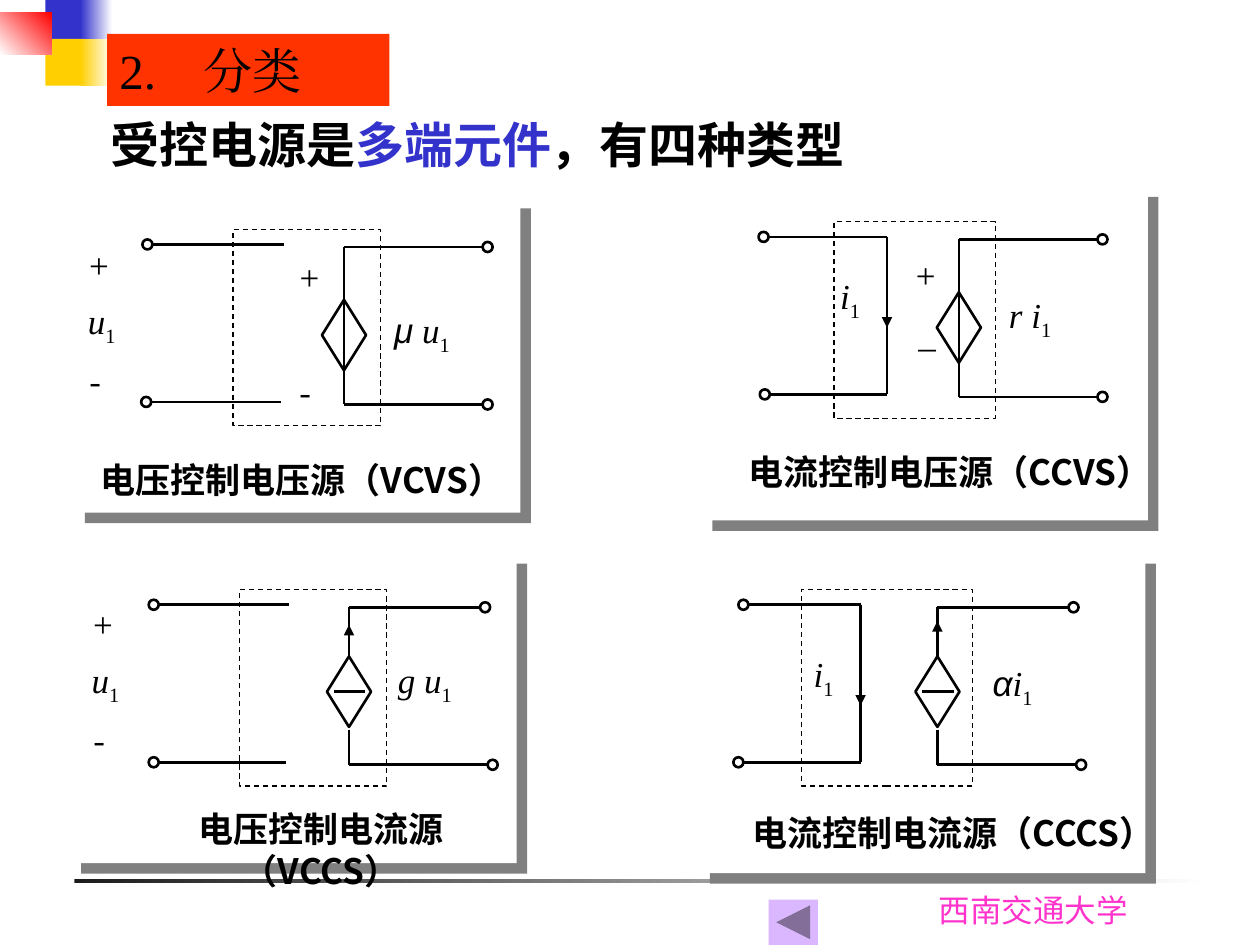
from dataclasses import dataclass
from lxml.etree import SubElement as Sub
from pptx import Presentation
from pptx.dml.color import RGBColor as RGB
from pptx.enum.dml import MSO_LINE as Dash
from pptx.enum.shapes import MSO_CONNECTOR as Conn, MSO_SHAPE as Form
from pptx.enum.text import MSO_ANCHOR as Anchor, PP_ALIGN as Align
from pptx.oxml.ns import qn
from pptx.util import Inches, Pt


@dataclass
class Theme:
    black: str = "000000"
    white: str = "FFFFFF"
    gray: str = "808080"
    dark: str = "1C1C1C"
    blue: str = "3333CC"
    gold: str = "FFCF01"
    red: str = "FF0000"
    fire: str = "FF3300"
    pink: str = "FF33CC"
    lilac: str = "DBB7FF"
    serif: str = "Times New Roman"
    sans: str = "Arial"
    han: str = "Noto Sans CJK SC"
    foot: str = "Karla"
    big: int = 28
    mid: int = 20
    small: int = 18
    thin: float = 0.75
    wide: float = 1.5

    def style(self, kind):
        return {
            "head": (self.serif, self.big, self.black, False, False),
            "lead": (self.han, self.big, self.black, True, False),
            "key": (self.han, self.big, self.blue, True, False),
            "name": (self.han, self.mid, self.black, True, False),
            "var": (self.serif, self.mid, self.black, False, True),
            "greek": (self.sans, self.mid, self.black, False, True),
            "sub": (self.serif, self.mid, self.black, False, False),
            "sign": (self.serif, self.mid, self.black, False, False),
            "minus": (self.han, self.mid, self.black, False, False),
            "foot": (self.foot, self.small, self.pink, False, False),
        }[kind]


class Pen:
    def __init__(self, slide, theme):
        self.slide = slide
        self.look = theme

    def shape(self, form, x, y, w, h, fill=None, line=None):
        item = self.slide.shapes.add_shape(form, Inches(x), Inches(y), Inches(w), Inches(h))
        item.shadow.inherit = False
        if fill:
            item.fill.solid()
            item.fill.fore_color.rgb = RGB.from_string(fill)
        else:
            item.fill.background()
        if line:
            item.line.color.rgb = RGB.from_string(self.look.black)
            item.line.width = Pt(line)
        else:
            item.line.fill.background()
        return item

    def fade(self, x, y, w, h, start, end, angle=0):
        fill = self.shape(Form.RECTANGLE, x, y, w, h).fill
        fill.gradient()
        fill.gradient_angle = angle
        for stop, tint, pos in zip(fill.gradient_stops, (start, end), (0, 1)):
            stop.color.rgb = RGB.from_string(tint)
            stop.position = pos

    def panel(self, x, y, w, h):
        item = self.shape(Form.RECTANGLE, x, y, w, h, self.look.white)
        group = item._element.spPr.find(qn("a:effectLst"))
        cast = Sub(group, qn("a:outerShdw"), dist=str(Pt(8.5)), dir="2700000",
                   algn="ctr", rotWithShape="0")
        Sub(cast, qn("a:srgbClr"), val=self.look.gray)

    def wire(self, x1, y1, x2, y2, arrow=False):
        item = self.slide.shapes.add_connector(
            Conn.STRAIGHT, Inches(x1), Inches(y1), Inches(x2), Inches(y2))
        item.line.color.rgb = RGB.from_string(self.look.black)
        item.line.width = Pt(self.look.wide)
        if arrow:
            Sub(item._element.spPr.find(qn("a:ln")), qn("a:tailEnd"), type="triangle")
        Sub(item._element.spPr, qn("a:effectLst"))

    def ring(self, x, y):
        self.shape(Form.OVAL, x, y - 0.04, 0.08, 0.08, line=self.look.wide)

    def fill_in(self, frame, runs, align=Align.LEFT, tab=None):
        frame.word_wrap = True
        para = frame.paragraphs[0]
        para.alignment = align
        if tab:
            tabs = Sub(para._p.get_or_add_pPr(), qn("a:tabLst"))
            Sub(tabs, qn("a:tab"), pos=str(Inches(tab)), algn="l")
        for text, kind in runs:
            run = para.add_run()
            run.text = text
            font = run.font
            font.name, size, tint, font.bold, font.italic = self.look.style(kind)
            font.size = Pt(size)
            font.color.rgb = RGB.from_string(tint)
            mark = run._r.get_or_add_rPr()
            Sub(mark, qn("a:ea"), typeface=font.name)
            if kind == "sub":
                mark.set("baseline", "-25000")

    def text(self, x, y, w, h, runs, align=Align.LEFT, anchor=Anchor.TOP):
        box = self.slide.shapes.add_textbox(Inches(x), Inches(y), Inches(w), Inches(h))
        self.fill_in(box.text_frame, runs, align)
        box.text_frame.vertical_anchor = anchor

    def label(self, x, y, *runs):
        self.text(x, y, 0.9, 0.5, runs)

    def port(self, x, y):
        self.label(x, y, ("+", "sign"))
        self.label(x - 0.01, y + 0.45, ("u", "var"), ("1", "sub"))
        self.label(x, y + 0.93, ("-", "minus"))

    def inlet(self, top, rings, end, tip=None):
        base = top + 1.25
        for x, y, stop in zip(rings, (top, base), (end, end if tip else end - 0.02)):
            self.ring(x, y)
            self.wire(x + 0.08, y, stop, y)
        if tip:
            self.wire(end, top, end, base)
            self.wire(end, top, end, tip, True)

    def outlet(self, top, stem, rings, tip=None):
        high, low = top + 0.02, top + 1.27
        for x, y in zip(rings, (high, low)):
            self.ring(x, y)
            self.wire(stem, y, x, y)
        peak = top + (0.41 if tip else 0.44)
        self.shape(Form.DIAMOND, stem - 0.175, peak, 0.35, 0.56, line=self.look.wide)
        if tip:
            self.wire(stem, peak, stem, high)
            self.wire(stem, peak, stem, tip, True)
            self.wire(stem - 0.12, peak + 0.28, stem + 0.13, peak + 0.28)
            self.wire(stem, peak + 0.58, stem, low)
        else:
            self.wire(stem, high, stem, low)

    def cell(self, panel, name, align, frame, top, left, right):
        self.panel(*panel)
        x, y, w, text = name
        self.text(x, y, w, 0.47, [(text, "name")], align)
        x, w = frame
        box = self.shape(Form.RECTANGLE, x, top - 0.12, w, 1.56, line=self.look.thin)
        box.line.dash_style = Dash.DASH
        self.inlet(top, *left)
        self.outlet(top, *right)


def main():
    deck = Presentation()
    deck.slide_width, deck.slide_height = Inches(10), Inches(7.5)
    look = Theme()
    pen = Pen(deck.slides.add_slide(deck.slide_layouts[6]), look)

    pen.fade(0.59, 6.98, 9, 0.03, look.dark, look.white)
    pen.text(7.35, 7.02, 1.81, 0.4, [("西南交通大学", "foot")])
    for y, tint in ((0, look.blue), (0.31, look.gold)):
        pen.shape(Form.RECTANGLE, 0.36, y, 0.31, 0.37, tint)
        pen.fade(0.64, y, 0.25, 0.37, tint, look.white)
    pen.fade(0, 0.1, 0.41, 0.33, look.white, look.red, 45)
    pen.text(0.78, 0.89, 6.83, 0.5, [
        ("受控电源是", "lead"), ("多端元件", "key"), ("，有四种类型", "lead")],
        anchor=Anchor.MIDDLE)

    pen.cell((5.55, 4.39, 3.54, 2.54), (5.87, 6.39, 3.42, "电流控制电流源（CCCS）"),
             Align.JUSTIFY, (6.36, 1.36), 4.8,
             ((5.86, 5.82), 6.83, 5.6), (7.44, (8.48, 8.54), 4.93))
    pen.label(7.78, 5.2, ("α", "greek"), ("i", "var"), ("1", "sub"))
    pen.label(6.36, 5.13, ("i", "var"), ("1", "sub"))

    pen.cell((5.57, 1.48, 3.54, 2.65), (5.84, 3.53, 3.42, "电流控制电压源（CCVS）"),
             Align.JUSTIFY, (6.62, 1.28), 1.88,
             ((6.02, 6.03), 7.04, 2.6), (7.61, (8.71, 8.71)))
    pen.label(7.91, 2.28, ("r i", "var"), ("1", "sub"))
    pen.label(6.57, 2.13, ("i", "var"), ("1", "sub"))
    pen.label(7.17, 1.96, ("+", "sign"))
    pen.label(7.19, 2.43, ("_", "sign"))

    pen.cell((0.56, 4.39, 3.54, 2.46), (0.89, 6.36, 3.32, "电压控制电流源（VCCS）"),
             Align.CENTER, (1.9, 1.17), 4.8,
             ((1.18, 1.18), 2.29), (2.77, (3.81, 3.87), 4.96))
    pen.label(3.06, 5.18, ("g u", "var"), ("1", "sub"))
    pen.port(0.64, 4.73)

    pen.cell((0.59, 1.57, 3.54, 2.5), (0.69, 3.59, 3.41, "电压控制电压源（VCVS）"),
             Align.CENTER, (1.85, 1.17), 1.94,
             ((1.13, 1.12), 2.25), (2.73, (3.83, 3.83)))
    pen.label(3.03, 2.4, ("μ", "greek"), (" u", "var"), ("1", "sub"))
    pen.port(0.61, 1.88)
    pen.label(2.28, 1.98, ("+", "sign"))
    pen.label(2.28, 2.9, ("-", "minus"))

    pen.shape(Form.ACTION_BUTTON_BACK_OR_PREVIOUS, 6.1, 7.14, 0.39, 0.36, look.lilac)
    head = pen.shape(Form.RECTANGLE, 0.85, 0.27, 2.24, 0.57, look.fire)
    pen.fill_in(head.text_frame, [("2.\t分类", "head")], tab=0.67)
    head.text_frame.vertical_anchor = Anchor.TOP
    deck.save("out.pptx")


if __name__ == "__main__":
    main()
